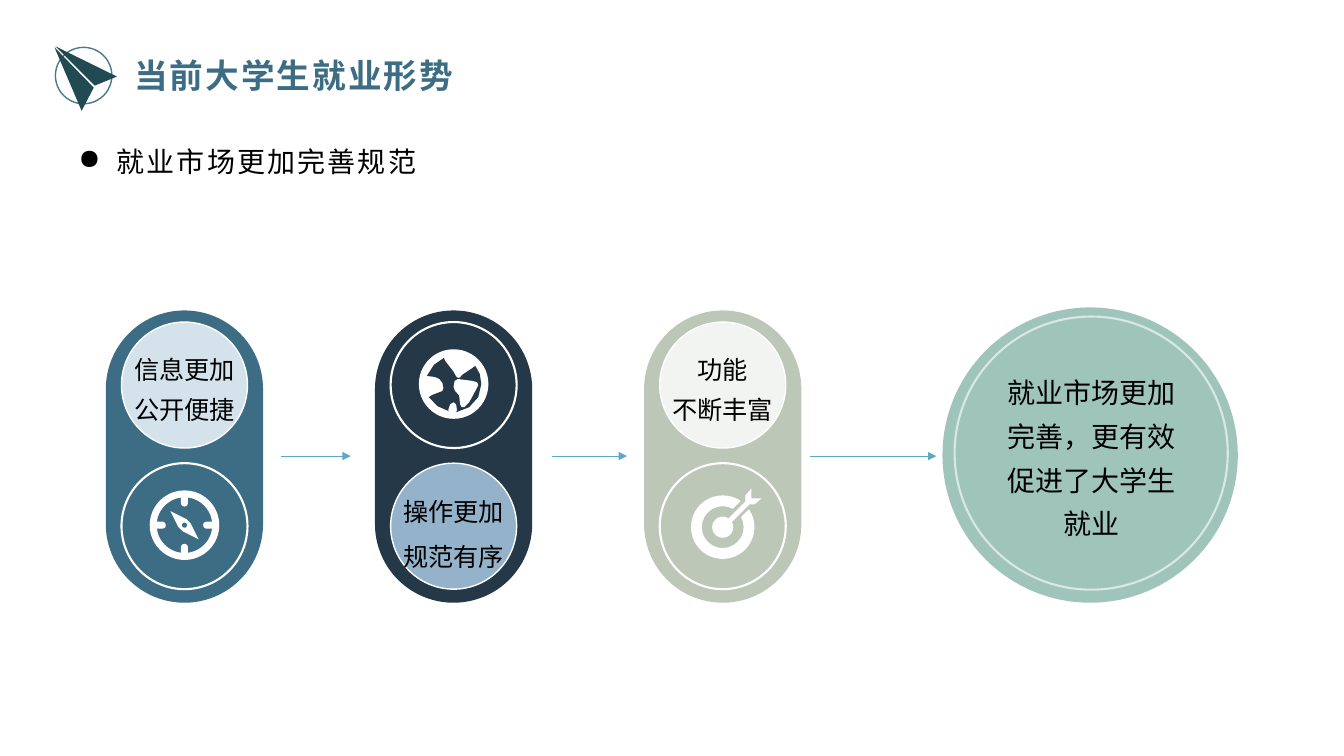
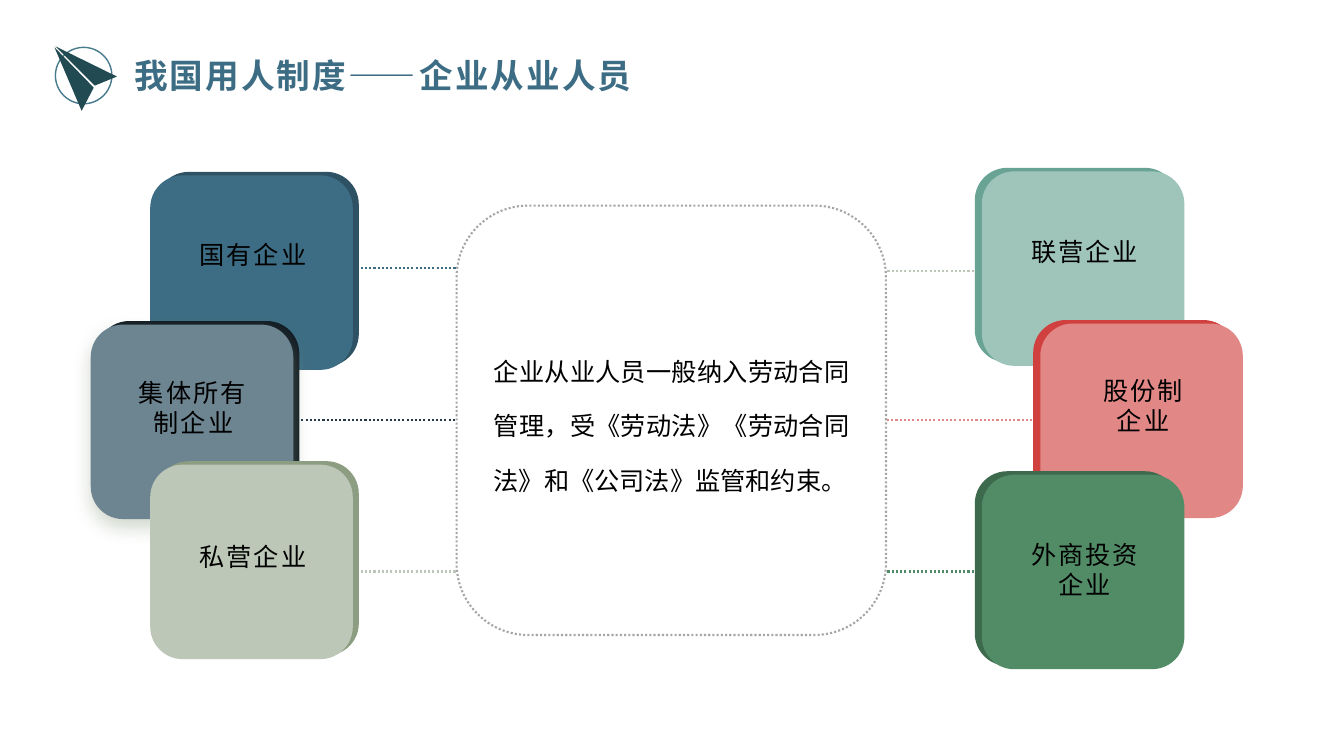
from dataclasses import dataclass
from typing import Callable, Optional

from lxml.etree import SubElement
from pptx import Presentation
from pptx.dml.color import RGBColor as Rgb
from pptx.enum.dml import MSO_LINE as Dash
from pptx.enum.shapes import MSO_CONNECTOR as Link, MSO_SHAPE as Kind
from pptx.enum.text import MSO_ANCHOR as Anchor, MSO_AUTO_SIZE as Fit, PP_ALIGN as Align
from pptx.oxml.ns import qn
from pptx.util import Inches, Pt

# The grid has square cells of a tenth of an inch.
COLS, ROWS = 133.33, 75
CELL = Inches(0.1)
FONT = "Noto Sans CJK SC"
INK = {
    "black": "000000", "white": "FFFFFF", "grey": "A6A6A6",
    "blue": "3D6D84", "deep": "2E5263", "pale": "D4E3EB", "sky": "94B2C9",
    "navy": "243848", "night": "121C24", "slate": "6D8591",
    "sage": "BDC7B7", "moss": "8C9D81", "mist": "F2F4F1",
    "mint": "9FC5BB", "teal": "68A394", "foam": "D9E8E4",
    "rose": "E18786", "red": "CF403E", "green": "518C67", "pine": "3D694D",
    "plane": "224A52", "ring": "467A8C", "arrow": "5EA9C1",
}
Point = tuple[float, float]


@dataclass
class Text:
    body: str
    size: int
    align: Align = Align.LEFT
    color: str = "black"
    bold: bool = False
    track: float = 0
    lead: float = 1
    bullet: bool = False
    wrap: bool = True
    inset: bool = True


@dataclass
class Pill:
    body: str
    fill: str
    disc: str
    upper: bool
    lead: float
    icon: Callable


@dataclass
class Card:
    body: str
    col: float
    row: float
    front: str
    back: str
    link: str
    level: float
    label: float
    shade: bool = False


def grid(*cells: float) -> list[int]:
    """Turn grid cells into slide units."""
    return [round(cell * CELL) for cell in cells]


def ink(name: str) -> Rgb:
    return Rgb.from_string(INK[name])


def write(shape, text: Text) -> None:
    frame = shape.text_frame
    frame.auto_size = Fit.NONE
    frame.word_wrap = text.wrap
    frame.vertical_anchor = Anchor.MIDDLE
    side, top = grid(1, 0.5) if text.inset else (0, 0)
    frame.margin_left = frame.margin_right = side
    frame.margin_top = frame.margin_bottom = top
    for num, words in enumerate(text.body.split("\n")):
        para = frame.add_paragraph() if num else frame.paragraphs[0]
        para.alignment = text.align
        para.line_spacing = text.lead
        if text.bullet:
            props = para._p.get_or_add_pPr()
            indent = grid(3.8)[0]
            props.set("marL", str(indent))
            props.set("indent", str(-indent))
            SubElement(props, qn("a:buChar")).set("char", "●")
        run = para.add_run()
        run.text = words
        font = run.font
        font.name, font.size, font.bold = FONT, Pt(text.size), text.bold
        font.color.rgb = ink(text.color)
        props = run._r.get_or_add_rPr()
        SubElement(props, qn("a:ea")).set("typeface", FONT)
        if text.track:
            props.set("spc", str(round(text.track * 100)))


def paint(shape, fill: Optional[str], line: Optional[str] = None, width: float = 1) -> None:
    shape.shadow.inherit = False
    if fill:
        shape.fill.solid()
        shape.fill.fore_color.rgb = ink(fill)
    else:
        shape.fill.background()
    if line:
        shape.line.color.rgb = ink(line)
        shape.line.width = Pt(width)
    else:
        shape.line.fill.background()


def draw(slide, kind: Kind, col: float, row: float, wide: float, high: float,
         fill: Optional[str], line: Optional[str] = None, width: float = 1):
    shape = slide.shapes.add_shape(kind, *grid(col, row, wide, high))
    paint(shape, fill, line, width)
    return shape


def disc(slide, col: float, row: float, radius: float, fill: Optional[str],
         line: Optional[str] = None, width: float = 1, kind: Kind = Kind.OVAL):
    """Draw a round shape about its centre."""
    return draw(slide, kind, col - radius, row - radius, 2 * radius, 2 * radius,
                fill, line, width)


def outline(slide, fill: str, col: float, row: float, *loops: list[Point]) -> None:
    """Fill closed loops whose points are offsets from one cell."""
    build = None
    for loop in loops:
        first, *rest = [tuple(grid(col + x, row + y)) for x, y in loop]
        if build is None:
            build = slide.shapes.build_freeform(*first)
        else:
            build.move_to(*first)
        build.add_line_segments(rest, close=True)
    paint(build.convert_to_shape(), fill)


def label(slide, col: float, row: float, wide: float, high: float, text: Text) -> None:
    write(slide.shapes.add_textbox(*grid(col, row, wide, high)), text)


def rule(slide, start: float, end: float, row: float, color: str, width: float):
    """Draw a level line."""
    line = slide.shapes.add_connector(Link.STRAIGHT, *grid(start, row, end, row))
    line.line.color.rgb = ink(color)
    line.line.width = Pt(width)
    SubElement(line._element.spPr, qn("a:effectLst"))
    return line


def shade(shape) -> None:
    """Give a soft shadow straight below."""
    glow = SubElement(shape._element.spPr.find(qn("a:effectLst")), qn("a:outerShdw"))
    for key, value in (("blurRad", Pt(13)), ("dist", Pt(6)), ("dir", 90 * 60000)):
        glow.set(key, str(value))
    color = SubElement(glow, qn("a:srgbClr"))
    color.set("val", INK["moss"])
    SubElement(color, qn("a:alpha")).set("val", "38000")


def compass(slide, col: float, row: float, ground: str) -> None:
    ring = disc(slide, col, row, 3.45, "white", kind=Kind.DONUT)
    ring.adjustments[0] = 0.1
    for x, y in ((0, -1), (0, 1), (-1, 0), (1, 0)):
        wide, high = (0.7, 1.5) if y else (1.5, 0.7)
        tick = draw(slide, Kind.ROUNDED_RECTANGLE, col + 2.6 * x - wide / 2,
                    row + 2.6 * y - high / 2, wide, high, "white")
        tick.adjustments[0] = 0.5
    outline(slide, "white", col, row, [(-1.4, -1.4), (0.2, -0.6), (0.6, -0.2),
                                       (1.4, 1.4), (-0.2, 0.6), (-0.6, 0.2)])
    disc(slide, col, row, 0.25, ground)


def globe(slide, col: float, row: float, ground: str) -> None:
    disc(slide, col, row, 3.45, "white")
    outline(slide, ground, col, row, [
        (0.25, 2.8), (0.35, 2.6), (0.25, 2), (0, 1.8), (-0.35, 2), (-0.55, 2.6),
        (-0.45, 2.7), (-1.6, 2.2), (-2.45, 1.3), (-2.15, 1.1), (-1.1, 0.7),
        (-1, 0.4), (-1.1, -0.1), (-1.4, -0.5), (-1.85, -0.7), (-2.65, -0.8),
        (-1.95, -1.9), (-0.95, -2.6), (-0.85, -2.3), (-0.45, -1.8), (0, -1.2),
        (0.25, -0.75), (0.45, -0.6), (0.65, -0.65), (0.85, -0.9), (1.75, -1.5),
        (2.15, -1.8), (2.6, -1), (2.75, 0), (2.45, 1.3), (1.55, 2.3)])
    outline(slide, "white", col, row, [
        (1.95, -0.3), (1.15, -0.4), (0.45, -0.5), (0.1, -0.3), (0, 0.3),
        (0.15, 0.7), (0.55, 1.1), (0.65, 2), (0.8, 2.3), (1.05, 2.3),
        (1.55, 1.8), (2.05, 0.9), (2.45, 0.1), (2.35, -0.15)])


def target(slide, col: float, row: float, ground: str) -> None:
    row += 0.2
    ring = disc(slide, col, row, 3.15, "white", kind=Kind.DONUT)
    ring.adjustments[0] = 0.17
    outline(slide, ground, col, row, [(0.6, -1.4), (2.2, -3), (3, -2.2), (1.4, -0.6)])
    disc(slide, col, row, 1.05, "white")
    outline(slide, "white", col, row, [
        (0.3, -0.6), (2.25, -2.55), (2.25, -3.15), (2.85, -3.85), (2.85, -2.85),
        (3.85, -2.85), (3.15, -2.25), (2.65, -2.25), (0.7, -0.3)])


def page(deck, title: str):
    """Add a slide with its title and the paper plane."""
    slide = deck.slides.add_slide(deck.slide_layouts[5])
    head = slide.shapes.title
    head.left, head.top, head.width, head.height = grid(12.3, 4.9, COLS / 2, 5)
    write(head, Text(title, 24, color="blue", bold=True, track=1.5))
    disc(slide, 8.3, 7.5, 2.8, None, "ring")
    outline(slide, "plane", 5.4, 4.6, [(6.2, 3), (4, 3.9), (0.1, 0)],
            [(3.9, 4.1), (2.7, 6.4), (0, 0.1)])
    return slide


def market(deck) -> None:
    slide = page(deck, "当前大学生就业形势")
    label(slide, 6.8, 13.8, 43.7, 4.4,
          Text("就业市场更加完善规范", 20, track=1.5, bullet=True))
    disc(slide, 108.15, 45.15, 14.65, "mint")
    goal = disc(slide, 108.25, 44.95, 13.55, "mint", "foam", 1.5)
    write(goal, Text("就业市场更加完善，更有效促进了大学生就业", 20, Align.CENTER, lead=1.3))
    for start, end in ((27.9, 34.8), (54.8, 62.2), (80.4, 92.9)):
        arrow = rule(slide, start, end, 45.25, "arrow", 0.5)
        SubElement(arrow.line._get_or_add_ln(), qn("a:tailEnd")).set("type", "triangle")
    pills = (
        Pill("信息更加\n公开便捷", "blue", "pale", True, 1.3, compass),
        Pill("操作更加\n规范有序", "navy", "sky", False, 1.5, globe),
        Pill("功能\n不断丰富", "sage", "mist", True, 1.3, target),
    )
    for num, pill in enumerate(pills):
        left = 10.5 + 26.7 * num
        body = draw(slide, Kind.ROUNDED_RECTANGLE, left, 30.8, 15.6, 29, pill.fill)
        body.adjustments[0] = 0.5
        mid, high, low = left + 7.8, 38.2, 52.2
        spot, other = (high, low) if pill.upper else (low, high)
        disc(slide, mid, other, 6.25, None, "white", 1.5)
        badge = disc(slide, mid, spot, 6.25, pill.disc, "white")
        write(badge, Text(pill.body, 18, Align.CENTER, lead=pill.lead, wrap=False))
        pill.icon(slide, mid, other - 0.1, pill.fill)


def firms(deck) -> None:
    slide = page(deck, "我国用人制度——企业从业人员")
    wide, high, edge, span = 20.1, 19.3, 45.3, 42.6
    cards = (
        Card("国有企业", 14.9, 17.4, "blue", "deep", "blue", 26.6, 25.2),
        Card("集体所有制企业", 9, 32.2, "slate", "night", "navy", 41.7, 40.45, True),
        Card("私营企业", 14.9, 46.1, "sage", "moss", "sage", 56.7, 55.2),
        Card("联营企业", 97.4, 17, "mint", "teal", "sage", 26.9, 24.9),
        Card("股份制\n企业", 103.2, 32.1, "rose", "red", "rose", 41.7, 40.25),
        Card("外商投资\n企业", 97.4, 47.1, "green", "pine", "green", 56.7, 56.45),
    )
    for card in cards:
        near = edge if card.col < COLS / 2 else edge + span
        line = rule(slide, card.col + wide / 2, near, card.level, card.link, 1.5)
        line.line.dash_style = Dash.ROUND_DOT
    for card in cards:
        lean = 0.6 if card.col < COLS / 2 else -0.7
        draw(slide, Kind.ROUNDED_RECTANGLE, card.col + lean, card.row - 0.35,
             wide, high, card.back)
        front = draw(slide, Kind.ROUNDED_RECTANGLE, card.col, card.row,
                     wide, high, card.front)
        if card.shade:
            shade(front)
        label(slide, card.col + 4.1, card.label - 3.05, 12.2, 6.1,
              Text(card.body, 18, Align.CENTER, track=1.5, inset=False))
    panel = draw(slide, Kind.ROUNDED_RECTANGLE, edge, 20.4, span, span,
                 "white", "grey", 1.5)
    panel.line.dash_style = Dash.ROUND_DOT
    label(slide, 48, 32.4, 37.3, 17.3, Text(
        "企业从业人员一般纳入劳动合同管理，受《劳动法》《劳动合同法》和《公司法》监管和约束。",
        18, Align.JUSTIFY, lead=1.8))


def main() -> None:
    deck = Presentation()
    deck.slide_width, deck.slide_height = grid(COLS, ROWS)
    market(deck)
    firms(deck)
    deck.save("out.pptx")


if __name__ == "__main__":
    main()
